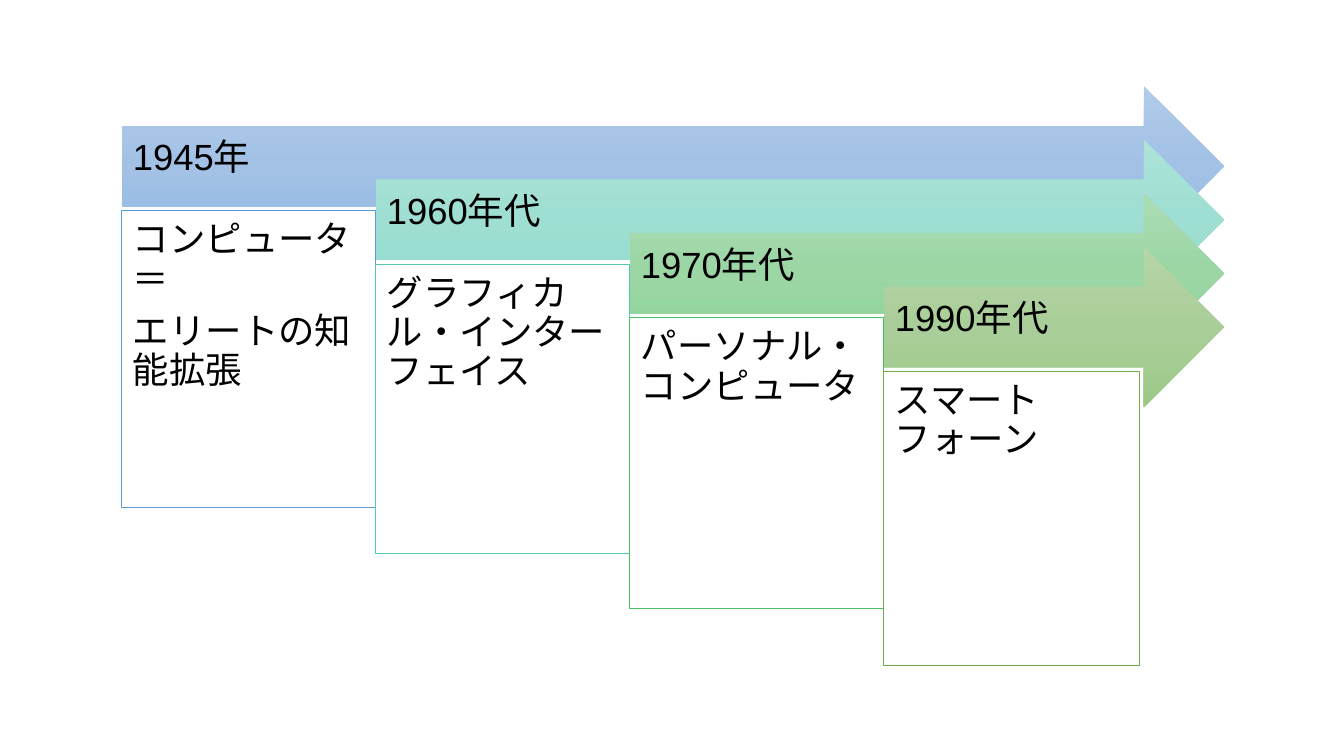
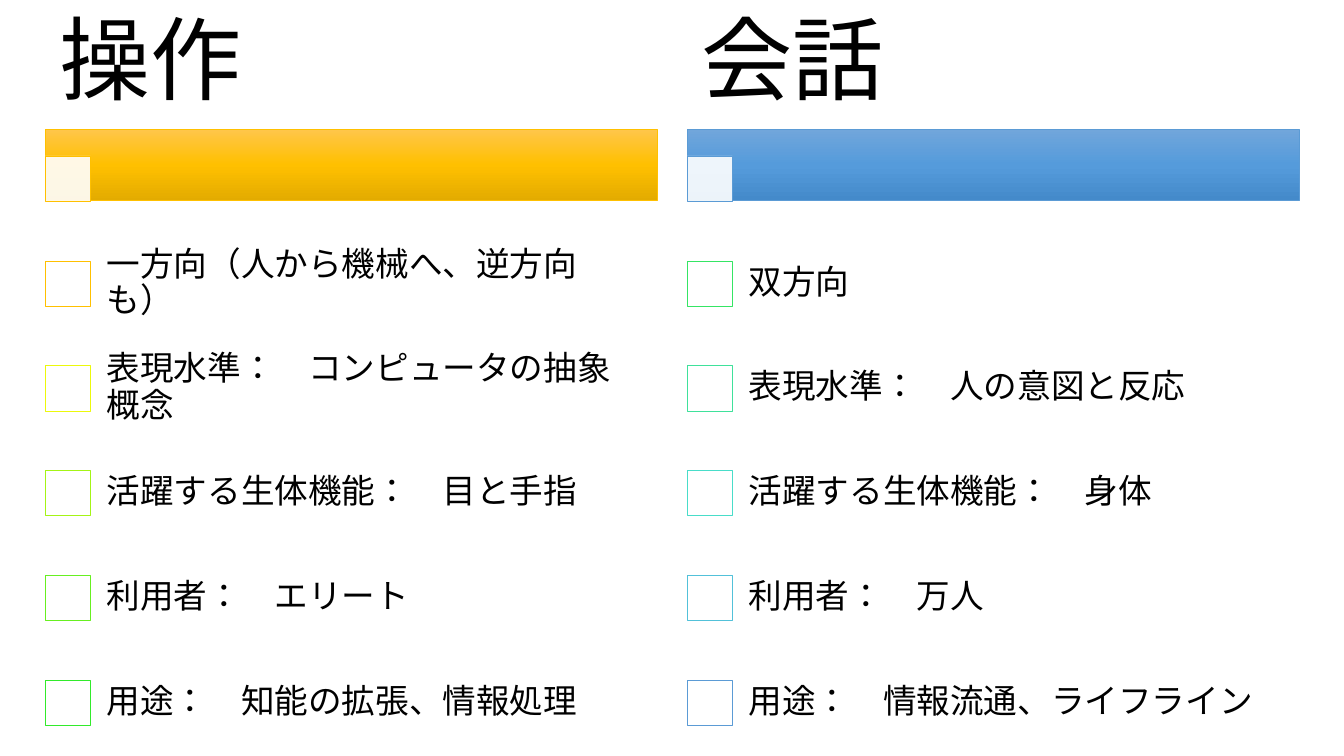
from copy import deepcopy
from dataclasses import dataclass

from lxml import etree
from pptx import Presentation
from pptx.dml.color import RGBColor
from pptx.enum.lang import MSO_LANGUAGE_ID
from pptx.enum.shapes import MSO_SHAPE
from pptx.enum.text import MSO_ANCHOR, MSO_AUTO_SIZE, PP_ALIGN
from pptx.oxml.ns import qn
from pptx.util import Cm, Pt

RECTANGLE = MSO_SHAPE.RECTANGLE
RIGHT_ARROW = MSO_SHAPE.RIGHT_ARROW
TOP = MSO_ANCHOR.TOP
MIDDLE = MSO_ANCHOR.MIDDLE
LEFT = PP_ALIGN.LEFT
FIXED_SIZE = MSO_AUTO_SIZE.NONE
JAPANESE = MSO_LANGUAGE_ID.JAPANESE
CONTENT_LAYOUT = 1
BLANK_LAYOUT = 6


@dataclass(frozen=True)
class Theme:
    text: str = "000000"
    paper: str = "FFFFFF"
    latin_font: str = "Arial"
    japanese_font: str = "Noto Sans CJK JP"
    heading_size: int = 65
    era_size: int = 26
    item_size: int = 24
    line_width: float = 0.5
    line_spacing: float = 0.9
    space_after: float = 0.35
    era_fills: tuple = (
        ("B1CBE9", "A3C1E5", "93B9E4"),
        ("ADE3D9", "9FDED2", "8EDCCE"),
        ("AADCB2", "9CD6A5", "8AD396"),
        ("B5D5A7", "AACE9A", "9CC987"),
    )
    era_lines: tuple = ("5B9BD5", "52CAB8", "49BF64", "70AD47")
    bar_fills: tuple = (("FFC64B", "FFC000", "E3AB00"), ("71A6DB", "559BDB", "448ACA"))
    bar_lines: tuple = ("FFC000", "5B9BD5")
    marker_lines: tuple = (
        ("FFC000", "ECF90B", "A4F416", "67EF21", "32EA2B"),
        ("35E564", "3FE19B", "49DDC9", "52C1D9", "5B9BD5"),
    )


class SlideBuilder:
    ARROW_INSETS = (0.28, 0.28, 0.71, 0.64)
    CARD_INSETS = (0.28, 0.28, 0.28, 0.28)
    HEADING_INSETS = (0.36, 0.23, 0.36, 0.23)
    ITEM_INSETS = (0.48, 0.48, 0.48, 0.48)

    def __init__(self, theme):
        self.theme = theme
        self.deck = Presentation()
        self.deck.slide_width = Cm(33.87)
        self.deck.slide_height = Cm(19.05)
        self.page = None

    def add_page(self, layout):
        self.page = self.deck.slides.add_slide(self.deck.slide_layouts[layout])

    def set_text(self, box, paragraphs, size, font, insets, anchor):
        frame = box.text_frame
        frame.word_wrap = True
        frame.auto_size = FIXED_SIZE
        frame.vertical_anchor = anchor
        frame.margin_left, frame.margin_top, frame.margin_right, frame.margin_bottom = map(Cm, insets)
        for index, words in enumerate(paragraphs):
            para = frame.add_paragraph() if index else frame.paragraphs[0]
            para.alignment = LEFT
            para.line_spacing = self.theme.line_spacing
            para.space_before = Pt(0)
            para.space_after = Pt(round(size * self.theme.space_after, 1))
            span = para.add_run()
            span.text = words
            span.font.size = Pt(size)
            span.font.name = font
            span.font.language_id = JAPANESE
            span.font.color.rgb = RGBColor.from_string(self.theme.text)
        for properties in box.element.iter(qn("a:rPr")):
            etree.SubElement(properties, qn("a:ea")).set("typeface", self.theme.japanese_font)

    def shape(self, kind, left, top, width, height, fill, line=None, opacity=None):
        shape = self.page.shapes.add_shape(kind, Cm(left), Cm(top), Cm(width), Cm(height))
        shape.shadow.inherit = False
        if isinstance(fill, tuple):
            self.shade(shape, fill)
        else:
            shape.fill.solid()
            shape.fill.fore_color.rgb = RGBColor.from_string(fill)
        if opacity is not None:
            color = shape.element.find(".//" + qn("a:solidFill"))[0]
            etree.SubElement(color, qn("a:alpha")).set("val", str(opacity * 1000))
        if line:
            shape.line.color.rgb = RGBColor.from_string(line)
            shape.line.width = Pt(self.theme.line_width)
        else:
            shape.line.fill.background()
        return shape

    def shade(self, shape, colors):
        shape.fill.gradient()
        shape.fill.gradient_angle = 270
        stops = shape.element.find(".//" + qn("a:gsLst"))
        stops.append(deepcopy(stops[0]))
        for index, (stop, color) in enumerate(zip(shape.fill.gradient_stops, colors)):
            stop.position = index / (len(colors) - 1)
            stop.color.rgb = RGBColor.from_string(color)

    def era_arrow(self, left, top, width, height, label, fill):
        arrow = self.shape(RIGHT_ARROW, left, top, width, height, fill)
        self.set_text(arrow, [label], self.theme.era_size, self.theme.latin_font, self.ARROW_INSETS, MIDDLE)

    def era_card(self, left, top, width, height, paragraphs, line):
        card = self.shape(RECTANGLE, left, top, width, height, self.theme.paper, line)
        self.set_text(card, paragraphs, self.theme.era_size, self.theme.latin_font, self.CARD_INSETS, TOP)

    def heading(self, placeholder, left, top, width, height, words):
        placeholder.left, placeholder.top = Cm(left), Cm(top)
        placeholder.width, placeholder.height = Cm(width), Cm(height)
        self.set_text(placeholder, [words], self.theme.heading_size, self.theme.japanese_font,
                      self.HEADING_INSETS, MIDDLE)
        properties = placeholder.element.find(".//" + qn("a:pPr"))
        properties.set("marL", "0")
        properties.set("indent", "0")
        etree.SubElement(properties, qn("a:buNone"))

    def marker(self, left, top, line, opacity=None):
        self.shape(RECTANGLE, left, top, 1.14, 1.14, self.theme.paper, line, opacity)

    def item(self, left, top, width, height, words):
        box = self.page.shapes.add_textbox(Cm(left), Cm(top), Cm(width), Cm(height))
        self.set_text(box, [words], self.theme.item_size, self.theme.japanese_font, self.ITEM_INSETS, MIDDLE)


ERAS = (
    ("1945年", ("コンピュータ＝", "エリートの知能拡張"), 6.4, 7.49),
    ("1960年代", ("グラフィカル・インターフェイス",), 6.4, 7.29),
    ("1970年代", ("パーソナル・コンピュータ",), 6.4, 7.34),
    ("1990年代", ("スマートフォーン",), 6.45, 7.42),
)

COLUMNS = (
    ("操作", (
        "一方向（人から機械へ、逆方向も）",
        "表現水準：　コンピュータの抽象概念",
        "活躍する生体機能：　目と手指",
        "利用者：　エリート",
        "用途：　知能の拡張、情報処理",
    )),
    ("会話", (
        "双方向",
        "表現水準：　人の意図と反応",
        "活躍する生体機能：　身体",
        "利用者：　万人",
        "用途：　情報流通、ライフライン",
    )),
)


def build_timeline(builder):
    theme = builder.theme
    arrow_tip = 30.85
    builder.add_page(BLANK_LAYOUT)
    for index, (label, paragraphs, card_width, card_height) in enumerate(ERAS):
        left = 3.07 + 6.4 * index
        top = 2.17 + 1.35 * index
        builder.era_arrow(left, top, arrow_tip - left, 4.04, label, theme.era_fills[index])
        builder.era_card(left, top + 3.13, card_width, card_height, paragraphs, theme.era_lines[index])


def build_comparison(builder):
    theme = builder.theme
    column_width, bar_top, row_height = 15.42, 3.25, 2.64
    builder.add_page(CONTENT_LAYOUT)
    placeholders = list(builder.page.placeholders)
    for index, (words, items) in enumerate(COLUMNS):
        left = 1.14 + 16.18 * index
        bar_line = theme.bar_lines[index]
        builder.heading(placeholders[index], left, 0, column_width, bar_top, words)
        builder.shape(RECTANGLE, left, bar_top, column_width, 1.81, theme.bar_fills[index], bar_line)
        builder.marker(left, 3.93, bar_line, opacity=90)
        for row, (item, line) in enumerate(zip(items, theme.marker_lines[index])):
            top = 5.82 + row_height * row
            builder.marker(left, top + 0.76, line)
            builder.item(left + 1.07, top, 14.33, row_height, item)


def main():
    builder = SlideBuilder(Theme())
    build_timeline(builder)
    build_comparison(builder)
    builder.deck.save("out.pptx")


if __name__ == "__main__":
    main()
